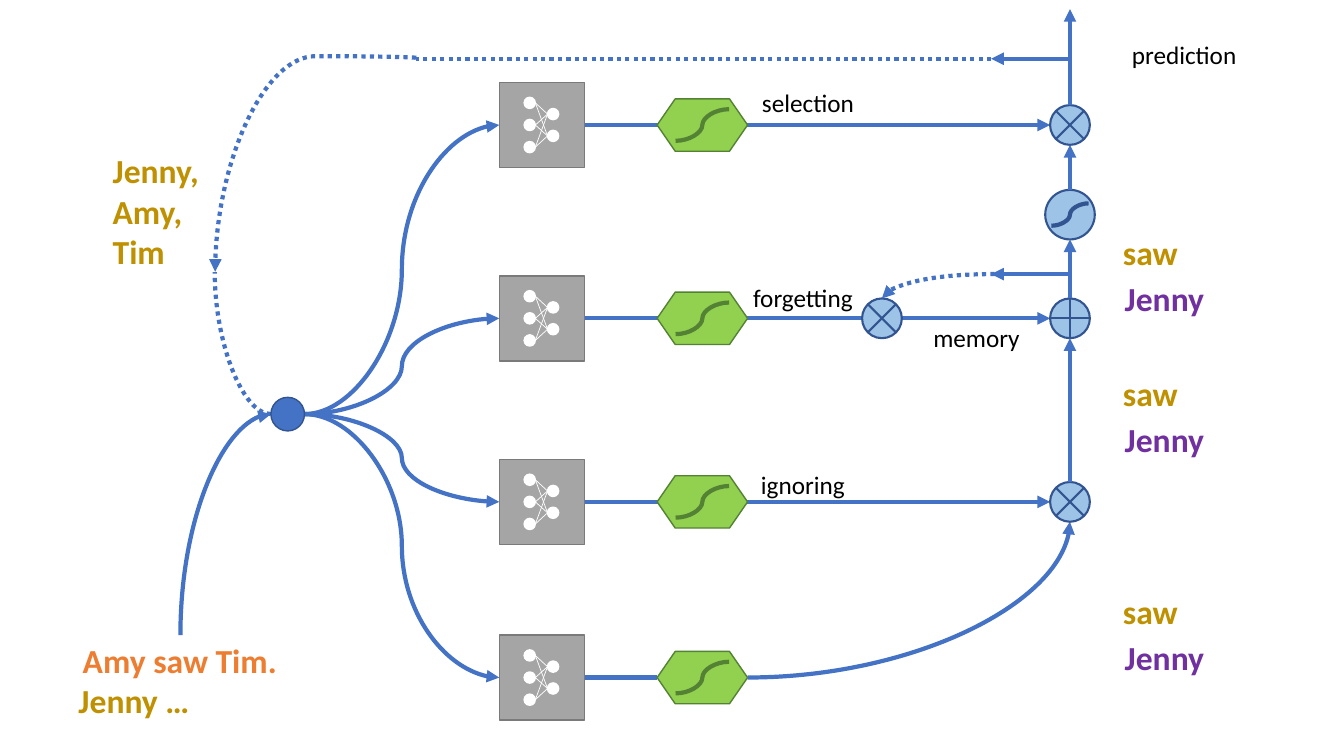
from itertools import pairwise, product

from lxml.etree import SubElement
from pptx import Presentation
from pptx.dml.color import RGBColor
from pptx.enum.dml import MSO_LINE
from pptx.enum.shapes import MSO_CONNECTOR as Link, MSO_SHAPE as Preset
from pptx.enum.text import MSO_AUTO_SIZE as AutoSize, PP_ALIGN as Align
from pptx.oxml.ns import qn
from pptx.util import Pt

BLUE = RGBColor(0x44, 0x72, 0xC4)
NAVY = RGBColor(0x32, 0x54, 0x91)
SKY = RGBColor(0x9D, 0xC3, 0xE6)
GREEN = RGBColor(0x92, 0xD0, 0x50)
DARK_GREEN = RGBColor(0x54, 0x82, 0x35)
GRAY = RGBColor(0xA5, 0xA5, 0xA5)
DARK_GRAY = RGBColor(0x7A, 0x7A, 0x7A)
WHITE = RGBColor(0xFF, 0xFF, 0xFF)
BLACK = RGBColor(0, 0, 0)
ORANGE = RGBColor(0xED, 0x7D, 0x31)
GOLD = RGBColor(0xBF, 0x90, 0x00)
PURPLE = RGBColor(0x70, 0x30, 0xA0)

SELECTION_Y, FORGETTING_Y, IGNORING_Y, INPUT_Y = ROWS = (89.3, 227.4, 358.5, 484)
NETWORK_X, GATE_X, FORGET_X, STEM_X = 387, 501.7, 630, 764.3
NETWORK_SIZE, GATE_WIDTH, GATE_HEIGHT = 60.8, 64.6, 37.4
OPERATOR_SIZE, SQUASH_SIZE, HUB_SIZE = 28.4, 35.4, 24
SQUASH_Y = 153.3
HUB_X, HUB_Y = 205.5, 295.8
PREDICTION_TAP_Y, MEMORY_TAP_Y, TAP_END_X = 42, 195.8, 708


class Diagram:
    """Holds the slide and the common style; all lengths are in points."""

    font_name = "Calibri"

    def __init__(self, slide):
        self.slide = slide

    def group(self):
        return self.slide.shapes.add_group_shape()

    def node(self, preset, x, y, width, height, fill, outline, weight=1.0, parent=None):
        """Draw a preset shape centred on (x, y)."""
        node = (parent or self.slide).shapes.add_shape(
            preset, Pt(x - width / 2), Pt(y - height / 2), Pt(width), Pt(height))
        node.shadow.inherit = False
        node.fill.solid()
        node.fill.fore_color.rgb = fill
        node.line.color.rgb = outline
        node.line.width = Pt(weight)

    def link(self, start, end, color=BLUE, weight=3.0, kind=Link.STRAIGHT,
             arrow=None, dotted=False, parent=None):
        """Draw a connector; arrow is "headEnd" (at start) or "tailEnd" (at end)."""
        link = (parent or self.slide).shapes.add_connector(kind, *map(Pt, start + end))
        link.line.color.rgb = color
        link.line.width = Pt(weight)
        if dotted:
            link.line.dash_style = MSO_LINE.ROUND_DOT
        properties = link.element.spPr
        if arrow:
            SubElement(properties.find(qn("a:ln")), qn(f"a:{arrow}"), type="triangle")
        SubElement(properties, qn("a:effectLst"))
        return link

    def arrow(self, start, end):
        self.link(start, end, arrow="tailEnd")

    def s_curve(self, start, end, **style):
        return self.link(start, end, kind=Link.CURVE, **style)

    def quarter_curve(self, start, end, **style):
        """Leave start horizontally and reach end vertically."""
        link = self.s_curve(start, end, **style)
        link.element.spPr.find(qn("a:prstGeom")).set("prst", "curvedConnector2")

    def turned_curve(self, start, end, bend, **style):
        """Draw an S-curve in its unturned frame, then turn it a quarter clockwise."""
        properties = self.s_curve(start, end, **style).element.spPr
        properties.find(qn("a:xfrm")).set("rot", str(90 * 60000))
        guides = properties.find(qn("a:prstGeom")).get_or_add_avLst()
        SubElement(guides, qn("a:gd"), name="adj1", fmla=f"val {bend}")

    def operator(self, preset, x, y):
        self.node(preset, x, y, OPERATOR_SIZE, OPERATOR_SIZE, SKY, NAVY, 1.5)

    def network(self, x, y):
        group = self.group()
        self.node(Preset.RECTANGLE, x, y, NETWORK_SIZE, NETWORK_SIZE,
                  GRAY, DARK_GRAY, parent=group)
        inputs = [(x - 8.6, y + step * 15.8) for step in (-1, 0, 1)]
        outputs = [(x + 8.1, y + step * 7.8) for step in (-1, 1)]
        for neuron in inputs + outputs:
            self.node(Preset.OVAL, *neuron, 8, 8, WHITE, WHITE, parent=group)
        for (x1, y1), (x2, y2) in product(inputs, outputs):
            self.link((x1 + 4, y1), (x2 - 4, y2), WHITE, 0.5, parent=group)

    def sigmoid(self, preset, x, y, size, reach, colors, weight):
        """Draw a node with an S-curve in it; reach is the curve's half extent."""
        fill, outline = colors
        dx, dy = reach
        group = self.group()
        self.node(preset, x, y, *size, fill, outline, weight, group)
        self.s_curve((x - dx, y + dy), (x + dx, y - dy), color=outline, parent=group)

    def text(self, lines, left, top, width, height, color=BLACK, size=18,
             bold=False, align=Align.LEFT):
        box = self.slide.shapes.add_textbox(*map(Pt, (left, top, width, height)))
        frame = box.text_frame
        frame.text = lines
        frame.word_wrap = False
        frame.auto_size = AutoSize.SHAPE_TO_FIT_TEXT
        for paragraph in frame.paragraphs:
            paragraph.alignment = align
            font = paragraph.font
            font.name, font.size, font.bold = self.font_name, Pt(size), bold
            font.color.rgb = color

    def words(self, lines, left, top, width, color, height=36.4):
        self.text(lines, left, top, width, height, color, size=24, bold=True)


def draw_rows(diagram):
    network_left, network_right = NETWORK_X - NETWORK_SIZE / 2, NETWORK_X + NETWORK_SIZE / 2
    gate_left, gate_right = GATE_X - GATE_WIDTH / 2, GATE_X + GATE_WIDTH / 2
    for y in ROWS:
        if y == INPUT_Y:
            diagram.link((network_right, y), (gate_left, y))
        else:
            diagram.arrow((network_right, y), (STEM_X - OPERATOR_SIZE / 2, y))
        diagram.network(NETWORK_X, y)
        diagram.sigmoid(Preset.FLOWCHART_PREPARATION, GATE_X, y, (GATE_WIDTH, GATE_HEIGHT),
                        (19.1, 11.3), (GREEN, DARK_GREEN), 1)
        diagram.s_curve((HUB_X + HUB_SIZE / 2, HUB_Y), (network_left, y), arrow="tailEnd")
    diagram.quarter_curve((gate_right, INPUT_Y), (STEM_X, IGNORING_Y + OPERATOR_SIZE / 2),
                          arrow="tailEnd")


def draw_stem(diagram):
    diagram.operator(Preset.FLOWCHART_SUMMING_JUNCTION, FORGET_X, FORGETTING_Y)
    diagram.operator(Preset.FLOWCHART_SUMMING_JUNCTION, STEM_X, SELECTION_Y)
    diagram.operator(Preset.FLOWCHART_OR, STEM_X, FORGETTING_Y)
    diagram.operator(Preset.FLOWCHART_SUMMING_JUNCTION, STEM_X, IGNORING_Y)
    diagram.sigmoid(Preset.OVAL, STEM_X, SQUASH_Y, (SQUASH_SIZE, SQUASH_SIZE),
                    (13.3, 8), (SKY, NAVY), 1.5)
    stops = [(IGNORING_Y, OPERATOR_SIZE), (FORGETTING_Y, OPERATOR_SIZE),
             (SQUASH_Y, SQUASH_SIZE), (SELECTION_Y, OPERATOR_SIZE), (6.5, 0)]
    for (low, low_size), (high, high_size) in pairwise(stops):
        diagram.arrow((STEM_X, low - low_size / 2), (STEM_X, high + high_size / 2))


def draw_feedback(diagram):
    hub_left = (HUB_X - HUB_SIZE / 2, HUB_Y)
    loop_x = 153.4
    for y in (PREDICTION_TAP_Y, MEMORY_TAP_Y):
        diagram.arrow((STEM_X, y), (TAP_END_X, y))
    diagram.quarter_curve((TAP_END_X + 2.5, MEMORY_TAP_Y),
                          (FORGET_X, FORGETTING_Y - OPERATOR_SIZE / 2),
                          arrow="tailEnd", dotted=True)
    diagram.link((TAP_END_X, PREDICTION_TAP_Y), (297.4, PREDICTION_TAP_Y), dotted=True)
    diagram.turned_curve((149, 46), (301.8, 189.5), -800, arrow="tailEnd", dotted=True)
    diagram.quarter_curve(hub_left, (loop_x, 194.4), dotted=True)
    diagram.quarter_curve(hub_left, (128.9, 453.6), arrow="headEnd")
    diagram.node(Preset.OVAL, HUB_X, HUB_Y, HUB_SIZE, HUB_SIZE, BLUE, NAVY)


def draw_texts(diagram):
    for label, left, top, width in (("selection", 536.4, 58.6, 81.4),
                                    ("forgetting", 530, 198.2, 87),
                                    ("memory", 659, 227, 77),
                                    ("ignoring", 536, 332, 75)):
        diagram.text(label, left, top, width, 29, align=Align.CENTER)
    diagram.text("prediction", 801.4, 24.7, 90, 29)
    diagram.words("Amy saw Tim.", 52, 453.6, 154, ORANGE)
    diagram.words("Jenny …", 49, 482, 96.5, GOLD)
    diagram.words("Jenny,\nAmy,\nTim", 73.4, 103.8, 77, GOLD, height=94.4)
    for top in (162, 263, 418.5):
        diagram.words("saw", 795, top, 54, GOLD)
        diagram.words("Jenny", 796.3, top + 33, 72, PURPLE)


def main():
    presentation = Presentation()
    presentation.slide_width, presentation.slide_height = Pt(960), Pt(540)
    blank_layout = presentation.slide_layouts[6]
    diagram = Diagram(presentation.slides.add_slide(blank_layout))
    draw_rows(diagram)
    draw_stem(diagram)
    draw_feedback(diagram)
    draw_texts(diagram)
    presentation.save("out.pptx")


if __name__ == "__main__":
    main()
